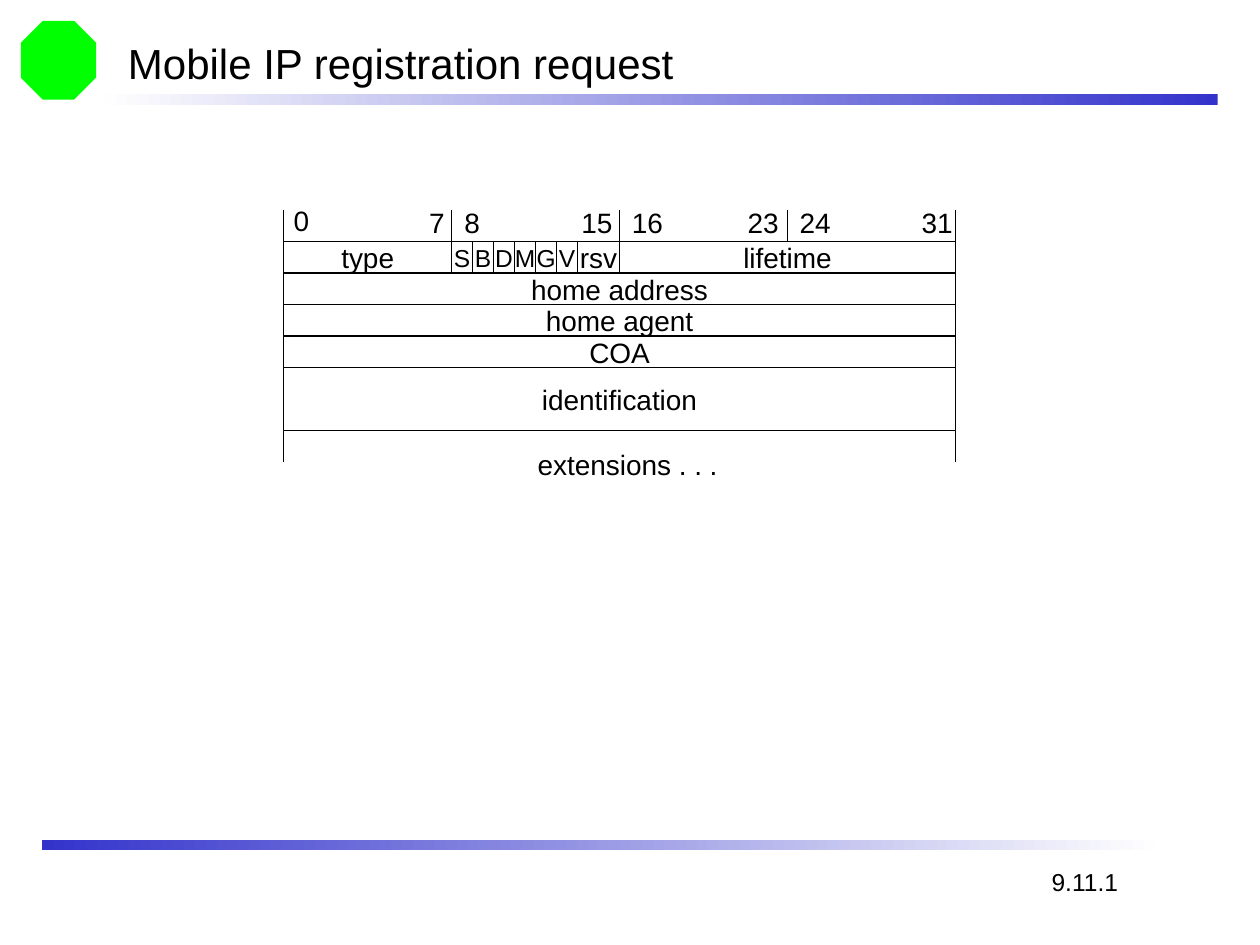
"""Build a slide showing the packet layout of a Mobile IP registration request."""
from dataclasses import dataclass

from lxml.etree import SubElement
from pptx import Presentation
from pptx.dml.color import RGBColor
from pptx.enum.shapes import MSO_CONNECTOR as Connector, MSO_SHAPE as Shape
from pptx.enum.text import MSO_ANCHOR as Anchor, MSO_AUTO_SIZE as AutoSize, PP_ALIGN as Align
from pptx.oxml.ns import qn
from pptx.slide import Slide
from pptx.text.text import TextFrame
from pptx.util import Cm, Length, Pt

COLORS = {"ink": "000000", "paper": "FFFFFF", "bar": "3333CC", "fade": "FEFEFE", "emblem": "00FF00"}
FONT = "Arial"
LEFT, TOP = Cm(5.72), Cm(4.87)
BIT, ROW = Cm(13.54) / 32, Cm(5.08) / 8


@dataclass(frozen=True)
class Field:
    """A packet field placed by its first bit, bit count and row."""
    text: str
    bit: int
    bits: int
    row: int
    rows: int = 1
    size: int = 16


@dataclass(frozen=True)
class Label:
    """A free-standing text with its box in centimetres."""
    text: str
    left: float
    top: float
    width: float
    height: float = 0.94
    size: int = 16
    anchor: Anchor = Anchor.TOP
    fit: AutoSize = AutoSize.SHAPE_TO_FIT_TEXT


@dataclass(frozen=True)
class Bar:
    """A horizontal bar that fades between two colours."""
    left: float
    top: float
    start: str
    end: str


FLAGS = [Field(flag, 8 + index, 1, 0, size=14) for index, flag in enumerate("SBDMGV")]
FIELDS = [
    Field("type", 0, 8, 0),
    *FLAGS,
    Field("rsv", 14, 2, 0),
    Field("lifetime", 16, 16, 0),
    Field("home address", 0, 32, 1),
    Field("home agent", 0, 32, 2),
    Field("COA", 0, 32, 3),
    Field("identification", 0, 32, 4, rows=2),
]
LABELS = [
    Label("Mobile IP registration request", 2.33, 0.62, 21.59, 1.27, 24, Anchor.MIDDLE, AutoSize.NONE),
    Label("0", 5.67, 3.98, 0.82),
    Label("7", 8.4, 4.02, 0.82),
    Label("8", 9.11, 4.02, 0.82),
    Label("15", 11.47, 4.02, 1.14),
    Label("16", 12.49, 4.02, 1.14),
    Label("23", 14.82, 4.02, 1.14),
    Label("24", 15.87, 4.02, 1.14),
    Label("31", 18.33, 4.02, 1.14),
    Label("extensions . . .", 10.59, 8.89, 4.3),
    Label("9.11.1", 20.95, 17.36, 1.89, 0.86, 14),
]
BARS = [Bar(2.12, 1.9, "fade", "bar"), Bar(0.85, 16.93, "bar", "fade")]


def color(name: str) -> RGBColor:
    """Look up a named colour."""
    return RGBColor.from_string(COLORS[name])


def bit_x(bit: int) -> Length:
    """Return the horizontal position of a bit boundary."""
    return Length(round(LEFT + bit * BIT))


def row_y(row: int) -> Length:
    """Return the vertical position of a row boundary."""
    return Length(round(TOP + row * ROW))


def write(frame: TextFrame, text: str, size: int, align: Align, anchor: Anchor) -> None:
    """Put one unwrapped paragraph into a text frame."""
    frame.word_wrap = False
    frame.vertical_anchor = anchor
    paragraph = frame.paragraphs[0]
    paragraph.text = text
    paragraph.alignment = align
    paragraph.font.name = FONT
    paragraph.font.size = Pt(size)
    paragraph.font.color.rgb = color("ink")


def draw_field(slide: Slide, field: Field) -> None:
    """Draw an outlined field with its centred name."""
    left, top = bit_x(field.bit), row_y(field.row)
    width = bit_x(field.bit + field.bits) - left
    height = row_y(field.row + field.rows) - top
    shape = slide.shapes.add_shape(Shape.RECTANGLE, left, top, width, height)
    shape.shadow.inherit = False
    shape.fill.solid()
    shape.fill.fore_color.rgb = color("paper")
    shape.line.color.rgb = color("ink")
    shape.line.width = Pt(0.75)
    write(shape.text_frame, field.text, field.size, Align.CENTER, Anchor.MIDDLE)


def draw_label(slide: Slide, label: Label) -> None:
    """Draw a left-aligned text box."""
    box = slide.shapes.add_textbox(Cm(label.left), Cm(label.top), Cm(label.width), Cm(label.height))
    box.text_frame.auto_size = label.fit
    write(box.text_frame, label.text, label.size, Align.LEFT, label.anchor)


def draw_tick(slide: Slide, bit: int, row: int) -> None:
    """Draw a vertical line one row high at a bit boundary."""
    x = bit_x(bit)
    line = slide.shapes.add_connector(Connector.STRAIGHT, x, row_y(row), x, row_y(row + 1))
    line.line.color.rgb = color("ink")
    line.line.width = Pt(0.75)
    SubElement(line._element.spPr, qn("a:effectLst"))


def draw_bar(slide: Slide, bar: Bar) -> None:
    """Draw a bar with a gradient running from left to right."""
    shape = slide.shapes.add_shape(Shape.RECTANGLE, Cm(bar.left), Cm(bar.top), Cm(22.43), Cm(0.21))
    shape.shadow.inherit = False
    shape.line.fill.background()
    shape.fill.gradient()
    shape.fill.gradient_angle = 180
    for stop, name in zip(shape.fill.gradient_stops, (bar.end, bar.start)):
        stop.color.rgb = color(name)


def draw_emblem(slide: Slide) -> None:
    """Draw a plain octagon in the header corner."""
    shape = slide.shapes.add_shape(Shape.OCTAGON, Cm(0.42), Cm(0.42), Cm(1.52), Cm(1.59))
    shape.shadow.inherit = False
    shape.fill.solid()
    shape.fill.fore_color.rgb = color("emblem")
    shape.line.fill.background()


def main() -> None:
    """Assemble and save the slide."""
    presentation = Presentation()
    presentation.slide_width, presentation.slide_height = Cm(25.4), Cm(19.05)
    slide = presentation.slides.add_slide(presentation.slide_layouts[6])
    draw_emblem(slide)
    for bar in BARS:
        draw_bar(slide, bar)
    for field in FIELDS:
        draw_field(slide, field)
    for bit in range(0, 33, 8):
        draw_tick(slide, bit, -1)
    for bit in (0, 32):
        draw_tick(slide, bit, 6)
    for label in LABELS:
        draw_label(slide, label)
    presentation.save("out.pptx")


if __name__ == "__main__":
    main()
